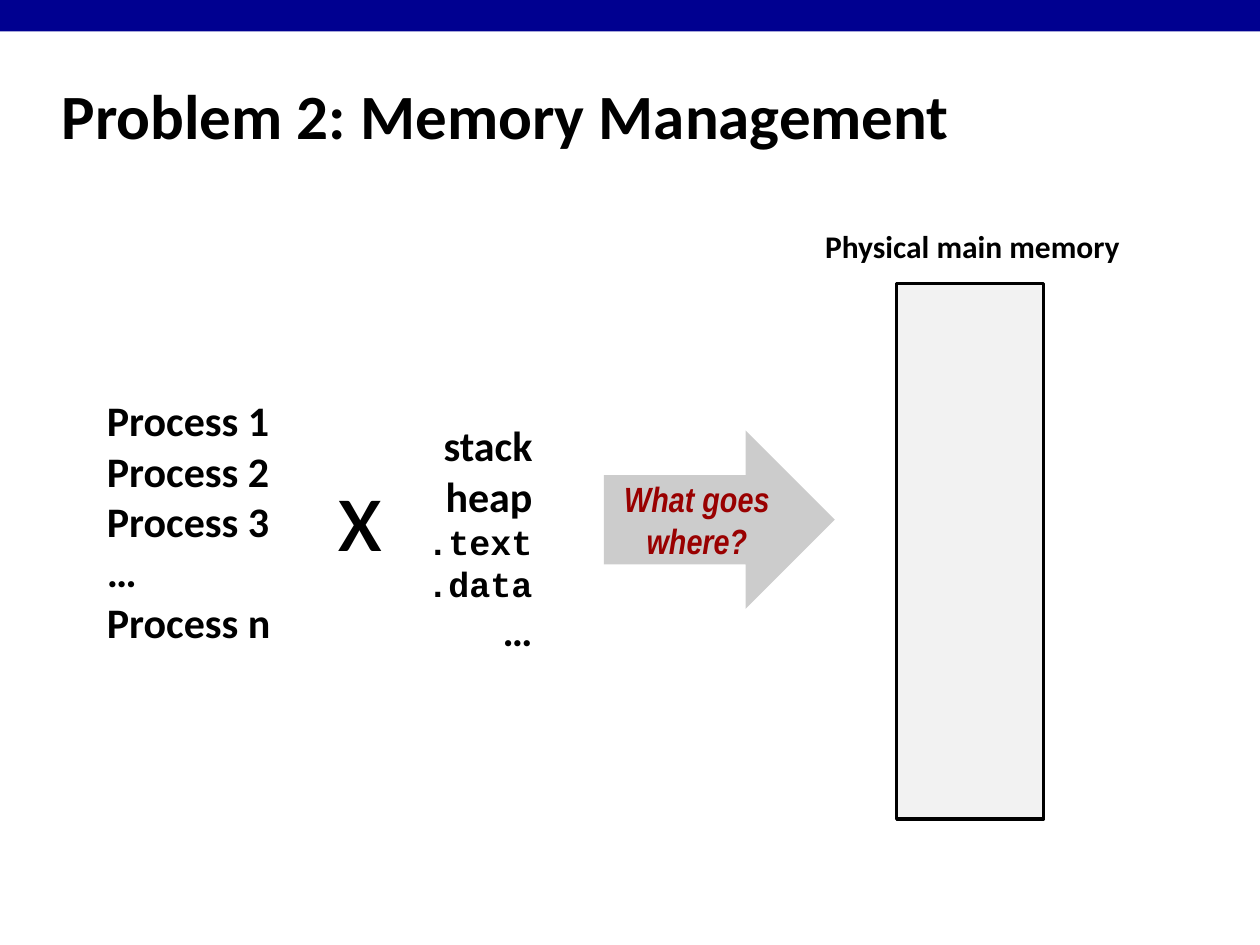
from pptx import Presentation
from pptx.dml.color import RGBColor
from pptx.enum.shapes import MSO_SHAPE
from pptx.enum.text import MSO_ANCHOR, PP_ALIGN
from pptx.util import Inches, Pt

COLORS = {"band": "000090", "ink": "000000", "arrow": "CCCCCC",
          "question": "990000", "memory": "F2F2F2"}
COLS, ROWS = 120, 90

prs = Presentation()
prs.slide_width, prs.slide_height = Inches(10), Inches(7.5)


def place(box):
    """Turn (column, row, columns, rows) into slide lengths."""
    x, y, w, h = box
    col, row = prs.slide_width / COLS, prs.slide_height / ROWS
    return round(x * col), round(y * row), round(w * col), round(h * row)


def add_line(tf, text, size=24, font="Calibri", color="ink", bold=True,
             italic=False, align=PP_ALIGN.LEFT):
    """Write text in the empty first paragraph, or in a new one."""
    p = tf.paragraphs[0] if not tf.paragraphs[0].runs else tf.add_paragraph()
    p.alignment = align
    r = p.add_run()
    r.text = text
    r.font.name, r.font.size = font, Pt(size)
    r.font.bold, r.font.italic = bold, italic
    r.font.color.rgb = RGBColor.from_string(COLORS[color])


def add_text(s, box, lines, wrap=False, anchor=MSO_ANCHOR.TOP, **fmt):
    """Add a text box; a line is a string or a (string, format) pair."""
    tf = s.shapes.add_textbox(*place(box)).text_frame
    tf.word_wrap, tf.vertical_anchor = wrap, anchor
    for line in lines:
        text, own = (line, {}) if isinstance(line, str) else line
        add_line(tf, text, **{**fmt, **own})


def add_block(s, kind, box, fill, line=None):
    sp = s.shapes.add_shape(kind, *place(box))
    sp.shadow.inherit = False
    sp.fill.solid()
    sp.fill.fore_color.rgb = RGBColor.from_string(COLORS[fill])
    if line:
        sp.line.color.rgb = RGBColor.from_string(COLORS[line])
        sp.line.width = Pt(2)
    else:
        sp.line.fill.background()
    return sp


def add_header(s, box):
    x, y, w, h = box
    add_block(s, MSO_SHAPE.RECTANGLE, (x, y, w, 3), "band")
    add_text(s, (x + 4.7, y + 5.9, 99.6, h - 5.9), ["Problem 2: Memory Management"],
             wrap=True, anchor=MSO_ANCHOR.MIDDLE, size=36)


def add_product(s, box):
    """Processes times the sections that each one needs."""
    x, y, w, h = box
    add_text(s, (x, y, 18.1, 25.4),
             ["Process 1", "Process 2", "Process 3", "…", "Process n"])
    add_text(s, (x + 22, y + 4.9, 6.8, 13.3), ["x"], size=60, bold=False)
    code = {"font": "Courier New", "size": 20}
    add_text(s, (x + w - 12.7, y + h - 23.9, 12.7, 23.9),
             ["stack", "heap", (".text", code), (".data", code), "…"],
             align=PP_ALIGN.RIGHT)


def add_question(s, box):
    tf = add_block(s, MSO_SHAPE.RIGHT_ARROW, box, "arrow").text_frame
    tf.word_wrap, tf.vertical_anchor = True, MSO_ANCHOR.MIDDLE
    add_line(tf, "What goes where?", size=20, font="Arial Narrow",
             color="question", italic=True, align=PP_ALIGN.CENTER)


def add_memory(s, box):
    x, y, w, h = box
    add_text(s, (x, y, w, 4.8), ["Physical main memory"], size=18)
    add_block(s, MSO_SHAPE.RECTANGLE, (x + 8, y + 6, 14, h - 6), "memory", "ink")


s = prs.slides.add_slide(prs.slide_layouts[6])
add_header(s, (0, 0, COLS, 15.9))
add_memory(s, (77.4, 21, 31.6, 57))
add_question(s, (57.5, 41, 22, 17))
add_product(s, (9, 37, 42.9, 26.3))
prs.save("out.pptx")
